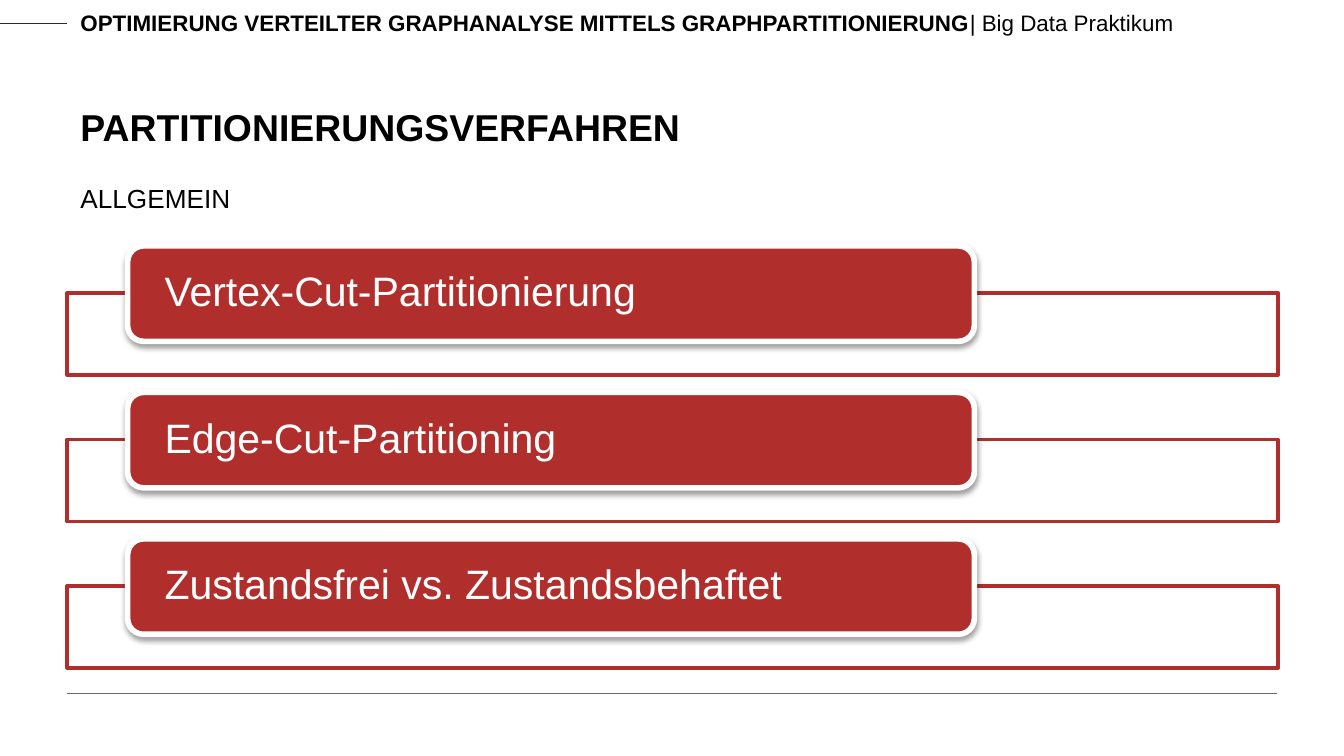
"""Build the slide on partitioning methods with three labelled bars."""
from lxml import etree
from pptx import Presentation, util as u
from pptx.dml.color import RGBColor
from pptx.enum import shapes, text
from pptx.oxml import parse_xml
from pptx.oxml.ns import qn, nsdecls

HUES = {"ink": "000000", "paper": "FFFFFF", "red": "B02F2C",
        "dark": "262A31", "rule": "6A6A6A"}
LEFT, WIDE, TOP, STEP = 0.5, 9.01, 1.83, 1.09

deck = Presentation()
deck.slide_width, deck.slide_height = u.Inches(10), u.Inches(10 * 9 / 16)
slide = deck.slides.add_slide(deck.slide_layouts[6])
items = slide.shapes


def hue(name):
    return RGBColor.from_string(HUES[name])


def style(font, size, name, bold=False):
    font.name, font.size, font.bold = "Arial", u.Pt(size), bold
    font.color.rgb = hue(name)


for start, end, y, name in [(0, LEFT, 0.17, "dark"), (LEFT, 9.5, 5.16, "rule")]:
    line = items.add_connector(shapes.MSO_CONNECTOR.STRAIGHT,
                               *map(u.Inches, (start, y, end, y)))
    line.line.color.rgb = hue(name)
    line.line.width = u.Pt(0.25)
    etree.SubElement(line._element.spPr, qn("a:effectLst"))

heads = [
    (0.02, 0.3, 12, "TOP", [
        ("OPTIMIERUNG VERTEILTER GRAPHANALYSE MITTELS GRAPHPARTITIONIERUNG", True),
        ("| Big Data Praktikum", False)]),
    (0.33, 0.83, 20, "BOTTOM", [("PARTITIONIERUNGSVERFAHREN", True)]),
    (1.23, 0.41, 14, "BOTTOM", [("ALLGEMEIN", False)]),
]
for y, high, size, side, parts in heads:
    box = items.add_textbox(*map(u.Inches, (LEFT, y, WIDE, high)))
    frame = box.text_frame
    frame.word_wrap = True
    frame.vertical_anchor = text.MSO_ANCHOR[side]
    for words, bold in parts:
        run = frame.paragraphs[0].add_run()
        run.text = words
        style(run.font, size, "ink", bold)

labels = ["Vertex-Cut-Partitionierung", "Edge-Cut-Partitioning",
          "Zustandsfrei vs. Zustandsbehaftet"]
for row, label in enumerate(labels):
    y = TOP + row * STEP
    bar = items.add_shape(shapes.MSO_SHAPE.RECTANGLE,
                          *map(u.Inches, (LEFT, y + 0.35, WIDE, 0.61)))
    tab = items.add_shape(shapes.MSO_SHAPE.ROUNDED_RECTANGLE,
                          *map(u.Inches, (0.95, y, 6.3, 0.71)))
    for shape, fill, edge, width in [(bar, "paper", "red", 2), (tab, "red", "paper", 3)]:
        shape.shadow.inherit = False
        shape.fill.solid()
        shape.fill.fore_color.rgb = hue(fill)
        shape.line.color.rgb = hue(edge)
        shape.line.width = u.Pt(width)

    tint = bar._element.spPr.find(qn("a:solidFill")).find(qn("a:srgbClr"))
    etree.SubElement(tint, qn("a:alpha"), val="90000")
    glow = parse_xml(
        f'<a:outerShdw {nsdecls("a")} blurRad="{u.Pt(3.1)}" dist="{u.Pt(1.6)}" '
        f'dir="5400000" rotWithShape="0"><a:srgbClr val="{HUES["ink"]}">'
        '<a:alpha val="38000"/></a:srgbClr></a:outerShdw>')
    tab._element.spPr.find(qn("a:effectLst")).append(glow)

    frame = tab.text_frame
    frame.word_wrap = True
    frame.vertical_anchor = text.MSO_ANCHOR.MIDDLE
    frame.margin_left = frame.margin_right = u.Inches(0.24)
    frame.margin_top = frame.margin_bottom = 0
    para = frame.paragraphs[0]
    para.text = label
    para.alignment = text.PP_ALIGN.LEFT
    para.line_spacing = 0.9
    style(para.font, 22, "paper")

deck.save("out.pptx")
